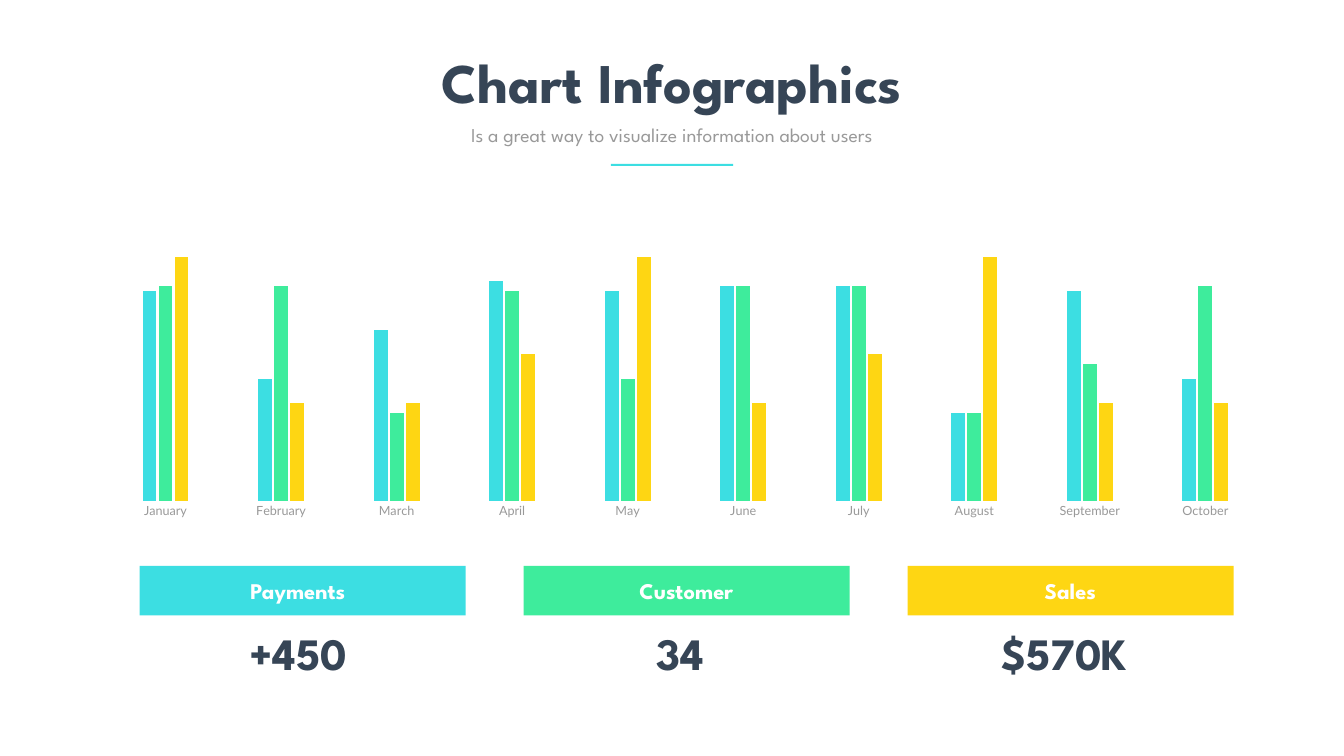
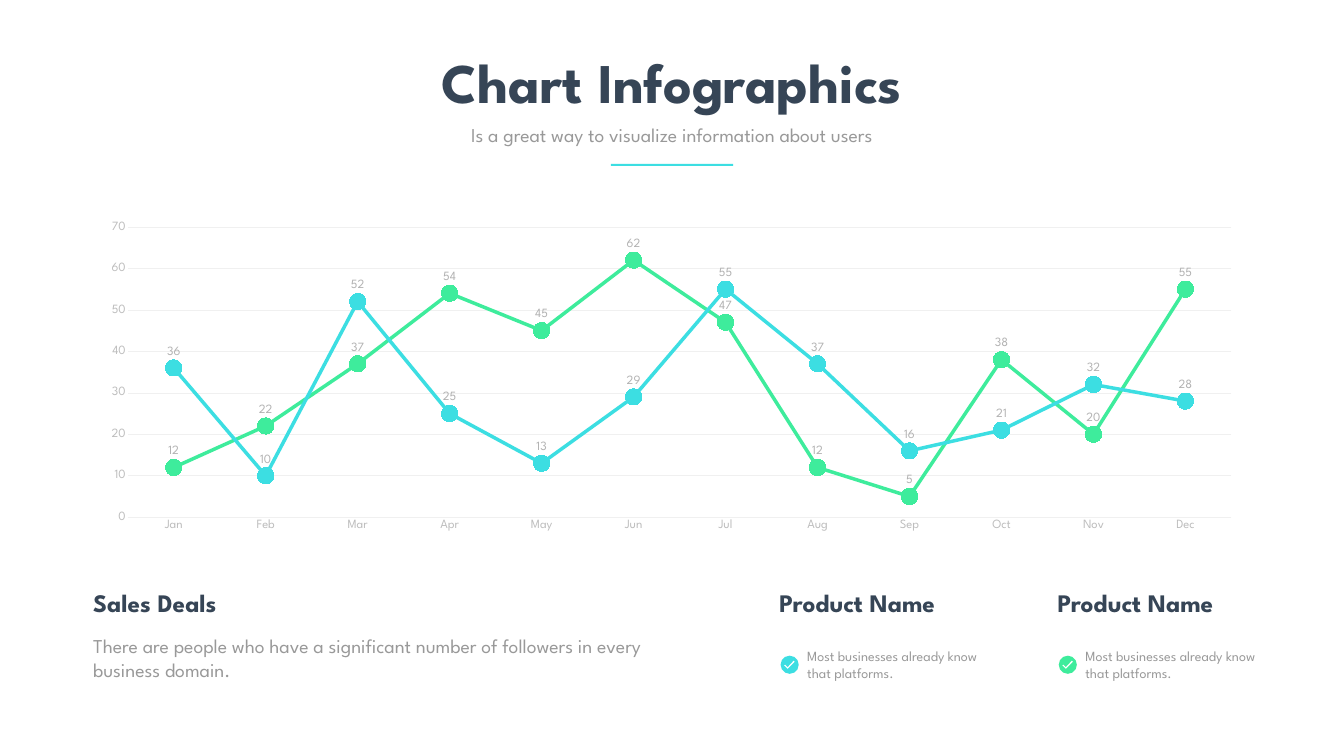
from lxml import etree
from pptx import Presentation
from pptx.chart.data import CategoryChartData
from pptx.dml.color import RGBColor
from pptx.enum.chart import XL_CHART_TYPE, XL_LABEL_POSITION, XL_MARKER_STYLE, XL_TICK_MARK
from pptx.enum.shapes import MSO_SHAPE
from pptx.enum.text import MSO_ANCHOR, MSO_AUTO_SIZE, PP_ALIGN
from pptx.oxml.ns import qn
from pptx.util import Inches, Pt

COLUMNS, LINES = XL_CHART_TYPE.COLUMN_CLUSTERED, XL_CHART_TYPE.LINE_MARKERS
RECT, OVAL = MSO_SHAPE.RECTANGLE, MSO_SHAPE.OVAL
LEFT, CENTER = PP_ALIGN.LEFT, PP_ALIGN.CENTER
TOP, MIDDLE = MSO_ANCHOR.TOP, MSO_ANCHOR.MIDDLE
FIT, NO_TICK = MSO_AUTO_SIZE.SHAPE_TO_FIT_TEXT, XL_TICK_MARK.NONE
CIRCLE, ABOVE = XL_MARKER_STYLE.CIRCLE, XL_LABEL_POSITION.ABOVE

SPARTAN, LATO = "League Spartan", "Lato"
COLORS = {
    "cyan": "3CDEE2", "green": "3EEC9C", "yellow": "FED613", "white": "FFFFFF",
    "dark": "364556", "gray": "999999", "axis": "BDBDBD", "label": "B2B2B2", "grid": "F0F0F0",
}

MONTHS = ["January", "February", "March", "April", "May", "June", "July",
          "August", "September", "October"]
MONTHLY_BARS = {
    "cyan": [86, 50, 70, 90, 86, 88, 88, 36, 86, 50],
    "green": [88, 88, 36, 86, 50, 88, 88, 36, 56, 88],
    "yellow": [100, 40, 40, 60, 100, 40, 60, 100, 40, 40],
}
SHORT_MONTHS = ["Jan", "Feb", "Mar", "Apr", "May", "Jun", "Jul", "Aug", "Sep", "Oct", "Nov", "Dec"]
MONTHLY_LINES = {
    "green": [12, 22, 37, 54, 45, 62, 47, 12, 5, 38, 20, 55],
    "cyan": [36, 10, 52, 25, 13, 29, 55, 37, 16, 21, 32, 28],
}
# label, value, colour, offset of the label, offset of the value
TOTALS = [
    ("Payments", "+450", "cyan", 0.7, -0.09),
    ("Customer", "34", "green", 0.79, -0.12),
    ("Sales", "$570K", "yellow", 0.79, -0.12),
]
# hundredths of an inch from the corner of the badge
CHECK_MARK = [(14, 23), (9, 18), (7, 19), (14, 26), (28, 12), (26, 10)]


def rgb(color):
    return RGBColor.from_string(COLORS[color])


def set_font(font, size, color, name=SPARTAN, bold=False):
    font.size, font.name, font.bold = Pt(size), name, bold
    font.color.rgb = rgb(color)


def paint(shape, color):
    shape.fill.solid()
    shape.fill.fore_color.rgb = rgb(color)
    shape.line.fill.background()
    shape.shadow.inherit = False


def add_block(slide, kind, x, y, w, h, color):
    sp = slide.shapes.add_shape(kind, Inches(x), Inches(y), Inches(w), Inches(h))
    paint(sp, color)


def add_text(slide, text, x, y, w, h, size, color, bold=False, align=LEFT, anchor=TOP, inset=None):
    tf = slide.shapes.add_textbox(Inches(x), Inches(y), Inches(w), Inches(h)).text_frame
    tf.word_wrap, tf.auto_size, tf.vertical_anchor = True, FIT, anchor
    if inset is not None:
        tf.margin_left = tf.margin_top = tf.margin_right = tf.margin_bottom = Inches(inset)
    p = tf.paragraphs[0]
    p.text, p.alignment = text, align
    set_font(p.font, size, color, bold=bold)


def add_heading(slide, x, y, w):
    add_text(slide, "Chart Infographics", x, y, w, 1.45, 80, "dark", True, CENTER)
    add_text(slide, "Is a great way to visualize information about users",
             x + 1.67, y + 1.48, 9.56, 0.57, 28, "gray", align=CENTER)
    add_block(slide, RECT, x + 5.24, y + 2.35, 2.43, 0.04, "cyan")


def add_chart(slide, kind, categories, series, x, y, w, h, font_name, text_color, top):
    """Add a chart whose series are keyed by colour, with its axes styled."""
    data = CategoryChartData()
    data.categories = categories
    for number, values in enumerate(series.values(), 1):
        data.add_series(f"Series {number}", values)
    chart = slide.shapes.add_chart(kind, Inches(x), Inches(y), Inches(w), Inches(h), data).chart
    chart.has_legend = chart.has_title = False
    set_font(chart.font, 18, "gray", font_name)
    chart.plots[0].vary_by_categories = False
    for axis in (chart.category_axis, chart.value_axis):
        axis.major_tick_mark = axis.minor_tick_mark = NO_TICK
        axis.has_major_gridlines = False
        axis.format.line.fill.background()
        set_font(axis.tick_labels.font, 18, text_color, font_name)
    chart.value_axis.minimum_scale, chart.value_axis.maximum_scale = 0, top
    return chart


def set_plot_area(chart, x, y, w, h):
    """Fix the inner plot area, in fractions of the chart."""
    area = chart.plots[0]._element.getparent()
    for old in area.findall(qn("c:layout")):
        area.remove(old)
    layout = etree.Element(qn("c:layout"))
    manual = etree.SubElement(layout, qn("c:manualLayout"))
    settings = {"layoutTarget": "inner", "xMode": "edge", "yMode": "edge",
                "x": x, "y": y, "w": w, "h": h}
    for tag, value in settings.items():
        etree.SubElement(manual, qn(f"c:{tag}")).set("val", str(value))
    area.insert(0, layout)


def add_month_columns(slide, x, y, w, h):
    chart = add_chart(slide, COLUMNS, MONTHS, MONTHLY_BARS, x, y, w, h, LATO, "gray", 120)
    chart.value_axis.visible = False
    plot = chart.plots[0]
    plot.gap_width, plot.overlap = 500, -15
    for series, color in zip(plot.series, MONTHLY_BARS):
        series.invert_if_negative = False
        series.format.fill.solid()
        series.format.fill.fore_color.rgb = rgb(color)
    set_plot_area(chart, 0.048, 0.088, 0.926, 0.812)


def add_month_lines(slide, x, y, w, h):
    chart = add_chart(slide, LINES, SHORT_MONTHS, MONTHLY_LINES, x, y, w, h, SPARTAN, "axis", 70)
    chart.value_axis.major_unit = 10
    chart.value_axis.has_major_gridlines = True
    for fmt in (chart.category_axis.format, chart.value_axis.major_gridlines.format):
        fmt.line.color.rgb = rgb("grid")
        fmt.line.width = Pt(0.75)
    for series, color in zip(chart.plots[0].series, MONTHLY_LINES):
        series.smooth = False
        series.format.line.color.rgb = rgb(color)
        series.format.line.width = Pt(5)
        marker = series.marker
        marker.style, marker.size = CIRCLE, 23
        marker.format.fill.solid()
        marker.format.fill.fore_color.rgb = rgb(color)
        marker.format.line.fill.background()
        labels = series.data_labels
        labels.show_value, labels.position = True, ABOVE
        set_font(labels.font, 18, "label")


def add_total(slide, x, y, w, label, value, color, label_dx, value_dx):
    add_block(slide, RECT, x, y, w, 0.98, color)
    add_text(slide, label, x + label_dx, y + 0.16, 4.88, 0.65, 32, "white",
             True, CENTER, MIDDLE, 0.06)
    add_text(slide, value, x + value_dx, y + 1.12, w, 1.19, 64, "dark",
             True, CENTER, MIDDLE, 0.06)


def add_check_badge(slide, x, y, size, color):
    add_block(slide, OVAL, x, y, size, size, color)
    builder = slide.shapes.build_freeform(*CHECK_MARK[0], scale=Inches(0.01))
    builder.add_line_segments(CHECK_MARK[1:], close=True)
    paint(builder.convert_to_shape(Inches(x), Inches(y)), "white")


def add_product(slide, x, y, color):
    add_text(slide, "Product Name", x, y, 4.16, 0.71, 36, "dark", True)
    add_check_badge(slide, x + 0.12, y + 1.41, 0.36, color)
    add_text(slide, "Most businesses already know that platforms.",
             x + 0.55, y + 1.2, 3.6, 0.77, 20, "gray")


def add_sales_deals(slide, x, y, w):
    add_text(slide, "Sales Deals", x, y, 6.3, 0.71, 36, "dark", True)
    add_text(slide, "There are people who have a significant number of followers "
             "in every business domain.", x, y + 0.93, w, 1.04, 28, "gray")


def add_slide(prs):
    slide = prs.slides.add_slide(prs.slide_layouts[6])
    add_heading(slide, 6.88, 0.9, 12.91)
    return slide


def build_column_slide(prs):
    slide = add_slide(prs)
    add_month_columns(slide, 0.95, 3.49, 24.76, 7.17)
    for i, total in enumerate(TOTALS):
        add_total(slide, 2.77 + 7.62 * i, 11.23, 6.47, *total)


def build_line_slide(prs):
    slide = add_slide(prs)
    add_month_lines(slide, 1.75, 4.26, 23.15, 6.4)
    add_sales_deals(slide, 1.75, 11.6, 11.9)
    for i, color in enumerate(("cyan", "green")):
        add_product(slide, 15.37 + 5.52 * i, 11.6, color)


def main():
    prs = Presentation()
    prs.slide_width, prs.slide_height = Inches(26.67), Inches(15)
    build_column_slide(prs)
    build_line_slide(prs)
    prs.save("out.pptx")


if __name__ == "__main__":
    main()
